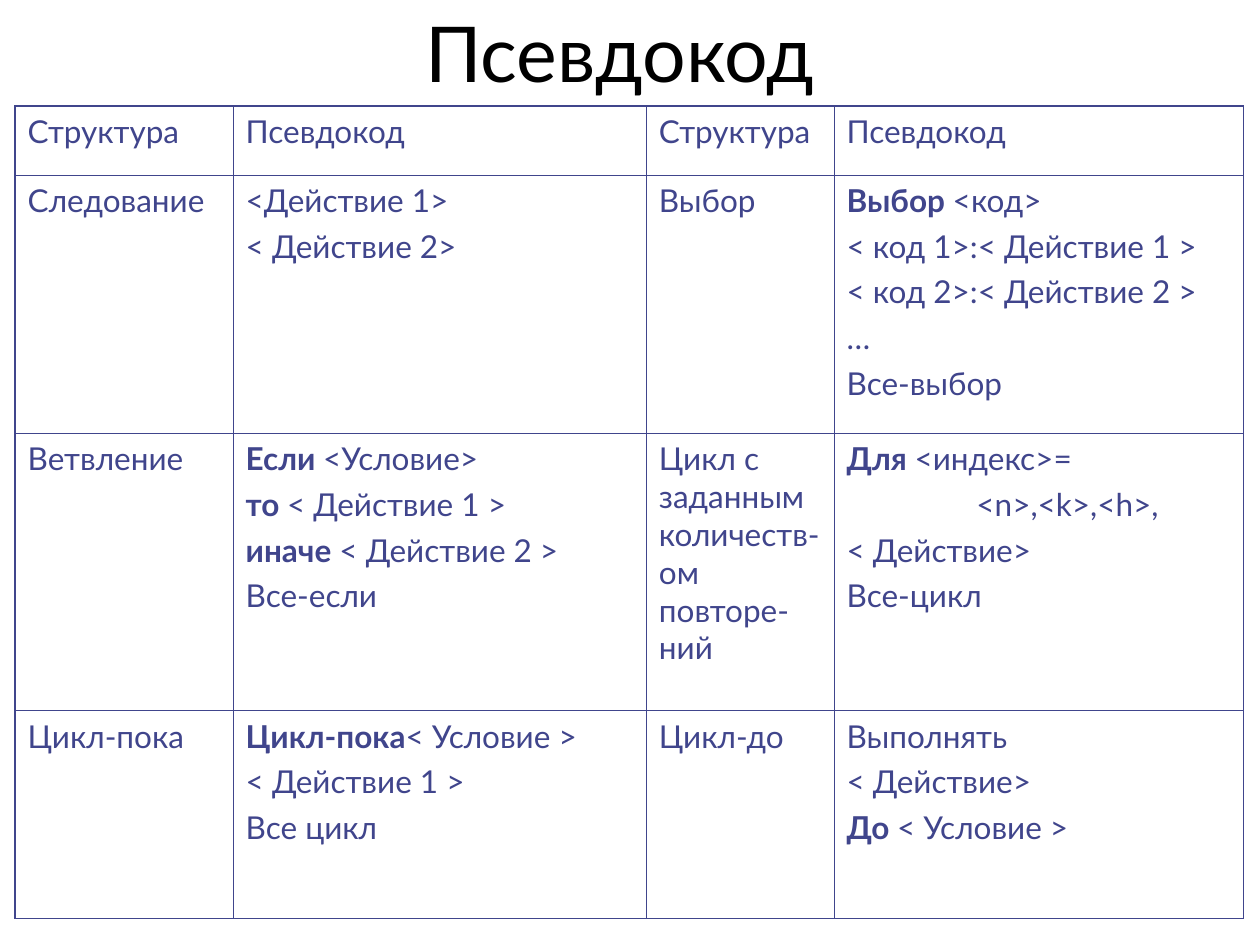
from pptx import Presentation
from pptx.dml.color import RGBColor as Rgb
from pptx.enum.text import MSO_ANCHOR as Anchor, MSO_AUTO_SIZE as Fit, PP_ALIGN as Align
from pptx.oxml.ns import qn
from pptx.util import Inches, Pt
from lxml.etree import SubElement as Sub

COLORS = {"title": "000000", "ink": "40458C"}
COLS, ROWS = 100, 75
THIN, THICK = 0.45, 1.08
INDENT = "\t"

WIDTHS = [17.3, 32.8, 14.9, 32.5]
HEIGHTS = [5.5, 20.5, 22, 16.5]

# Paragraphs of each cell; *stars* mark bold words, a leading tab an indent.
CELLS = [
    [["Структура"], ["Псевдокод"], ["Структура"], ["Псевдокод"]],
    [["Следование"],
     ["<Действие 1>", "< Действие 2>"],
     ["Выбор"],
     ["*Выбор *<код>", "< код 1>:< Действие 1 >",
      "< код 2>:< Действие 2 >", "…", "Все-выбор"]],
    [["Ветвление"],
     ["*Если *<Условие>", "*то *< Действие 1 >",
      "*иначе* < Действие 2 >", "Все-если"],
     ["Цикл с заданным количеств-ом повторе- ний"],
     ["*Для *<индекс>=", INDENT + "<n>,<k>,<h>,", "< Действие>", "Все-цикл"]],
    [["Цикл-пока"],
     ["*Цикл-пока*< Условие >", "< Действие 1 >", "Все цикл"],
     ["Цикл-до"],
     ["Выполнять", "< Действие>", "*До *< Условие >"]],
]


def write(frame, lines, size=18, color="ink", align=Align.LEFT, gap=4.5, indent=1.03):
    """Fill a text frame, one paragraph per line."""
    for i, line in enumerate(lines):
        para = frame.add_paragraph() if i else frame.paragraphs[0]
        para.alignment = align
        para.space_before = Pt(gap if i else 0)
        if line.startswith(INDENT):
            para._p.get_or_add_pPr().set("marL", str(Inches(indent)))
        for n, part in enumerate(line.lstrip(INDENT).split("*")):
            if part:
                run = para.add_run()
                run.text = part
                font = run.font
                font.name, font.size, font.bold = "Lato", Pt(size), n % 2 == 1
                font.color.rgb = Rgb.from_string(COLORS[color])


def edge(cell, side, width):
    line = Sub(cell._tc.get_or_add_tcPr(), qn(f"a:ln{side}"), w=str(Pt(width)))
    fill = Sub(line, qn("a:solidFill"))
    Sub(fill, qn("a:srgbClr"), val=COLORS["ink"])


class Page:
    """The slide and its grid of equal columns and rows."""

    def __init__(self, deck):
        self.col, self.row = deck.slide_width / COLS, deck.slide_height / ROWS
        self.slide = deck.slides.add_slide(deck.slide_layouts[5])

    def box(self, x, y, w, h):
        return [round(v) for v in
                (x * self.col, y * self.row, w * self.col, h * self.row)]

    def title(self, text, *place):
        shape = self.slide.shapes.title
        shape.left, shape.top, shape.width, shape.height = self.box(*place)
        frame = shape.text_frame
        frame.auto_size, frame.vertical_anchor = Fit.NONE, Anchor.BOTTOM
        write(frame, [text], size=44, color="title", align=Align.CENTER)

    def table(self, cells, x, y, widths, heights):
        place = self.box(x, y, sum(widths), sum(heights))
        high, wide = len(heights), len(widths)
        grid = self.slide.shapes.add_table(high, wide, *place).table
        grid.first_row = grid.horz_banding = False
        for col, width in zip(grid.columns, widths):
            col.width = round(width * self.col)
        for row, height in zip(grid.rows, heights):
            row.height = round(height * self.row)
        for r, row in enumerate(cells):
            for c, lines in enumerate(row):
                cell = grid.cell(r, c)
                write(cell.text_frame, lines)
                outer = {"L": c == 0, "R": c == wide - 1,
                         "T": r == 0, "B": r == high - 1}
                for side, thick in outer.items():
                    edge(cell, side, THICK if thick else THIN)
                cell.fill.background()


def main():
    deck = Presentation()
    deck.slide_width, deck.slide_height = Inches(10), Inches(7.5)
    page = Page(deck)
    page.title("Псевдокод", 6.7, 3.3, 85, 5)
    page.table(CELLS, 1.2, 8.4, WIDTHS, HEIGHTS)
    deck.save("out.pptx")


if __name__ == "__main__":
    main()
